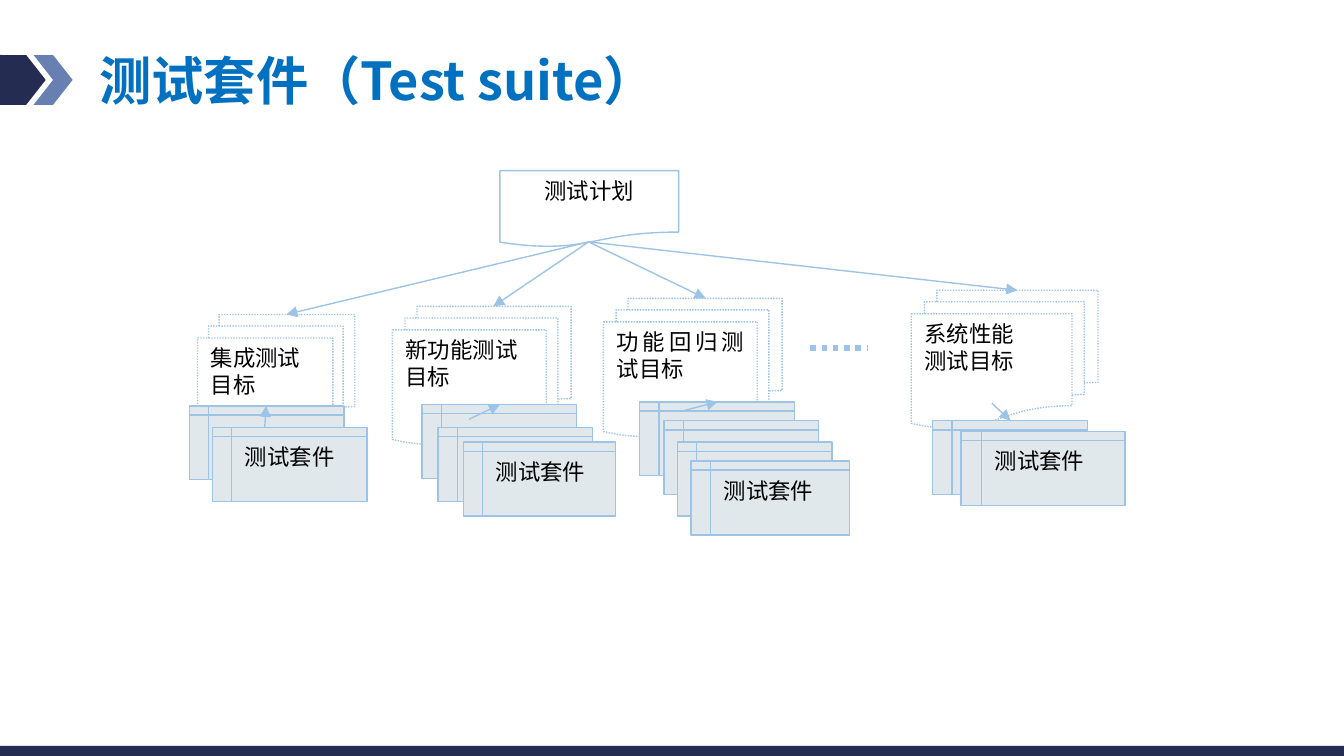
from lxml.etree import SubElement
from pptx import Presentation
from pptx.dml.color import RGBColor
from pptx.enum.dml import MSO_LINE
from pptx.enum.shapes import MSO_CONNECTOR, MSO_SHAPE
from pptx.enum.text import MSO_ANCHOR, PP_ALIGN
from pptx.oxml.ns import qn
from pptx.util import Inches, Pt

NAVY = RGBColor(0x24, 0x2C, 0x52)
SLATE = RGBColor(0x68, 0x80, 0xB1)
TITLE_BLUE = RGBColor(0x00, 0x70, 0xC0)
LINE_BLUE = RGBColor(0x9D, 0xC3, 0xE6)
PALE_GREY = RGBColor(0xE0, 0xE8, 0xEC)
WHITE = RGBColor(0xFF, 0xFF, 0xFF)
BLACK = RGBColor(0x00, 0x00, 0x00)
CJK_FONT = "Noto Sans CJK SC"
TITLE_FORMAT = {"name": CJK_FONT, "size": Pt(28), "bold": True}
LABEL_FORMAT = {"name": "Times New Roman", "size": Pt(12), "bold": False}

deck = Presentation()
deck.slide_width = Inches(10)
deck.slide_height = Inches(10) * 9 // 16
page = deck.slides.add_slide(deck.slide_layouts[5])


def add_box(kind, bounds, fill, outline=None, lines=(), align=PP_ALIGN.JUSTIFY):
    box = page.shapes.add_shape(kind, *map(Inches, bounds))
    box.shadow.inherit = False
    box.fill.solid()
    box.fill.fore_color.rgb = fill
    if outline is None:
        box.line.fill.background()
    else:
        box.line.color.rgb = outline
        box.line.width = Pt(0.75)
    frame = box.text_frame
    frame.vertical_anchor = MSO_ANCHOR.TOP
    for index, text in enumerate(lines):
        para = frame.add_paragraph() if index else frame.paragraphs[0]
        para.alignment = align
        span = para.add_run()
        span.text = text
        for name, value in LABEL_FORMAT.items():
            setattr(span.font, name, value)
        span.font.color.rgb = BLACK
    return box


def add_line(start, end, width=0.75, arrow=True):
    line = page.shapes.add_connector(MSO_CONNECTOR.STRAIGHT, *map(Inches, (*start, *end)))
    line.line.color.rgb = LINE_BLUE
    line.line.width = Pt(width)
    if arrow:
        SubElement(line.line._get_or_add_ln(), qn("a:tailEnd"), type="triangle")
    SubElement(line._element.spPr, qn("a:effectLst"))
    return line


marker = add_box(MSO_SHAPE.ROUNDED_RECTANGLE, (-0.15, 0.41, 0.35, 0.37), NAVY)
marker.adjustments[0] = 0.1
for left, color in ((0.25, SLATE), (0.05, NAVY)):
    add_box(MSO_SHAPE.CHEVRON, (left, 0.41, 0.29, 0.37), color)
add_box(MSO_SHAPE.RECTANGLE, (0, 5.55, 10, 0.13), NAVY)

title = page.shapes.title
title_place = {"left": 0.64, "top": 0.31, "width": 5.28, "height": 0.57}
for name, value in title_place.items():
    setattr(title, name, Inches(value))
title.text_frame.vertical_anchor = MSO_ANCHOR.BOTTOM
title.text_frame.word_wrap = True
para = title.text_frame.paragraphs[0]
para.alignment = PP_ALIGN.LEFT
para.line_spacing = 0.9
span = para.add_run()
span.text = "测试套件（Test suite）"
for name, value in TITLE_FORMAT.items():
    setattr(span.font, name, value)
span.font.color.rgb = TITLE_BLUE
SubElement(span.font._element, qn("a:ea"), typeface=CJK_FONT)

add_box(MSO_SHAPE.FLOWCHART_DOCUMENT, (3.72, 1.27, 1.33, 0.57), WHITE, LINE_BLUE,
        ["测试计划"], PP_ALIGN.CENTER)

goals = [
    (1.47, 2.34, 1.17, 2.13, ["集成测试", "目标"]),
    (2.92, 2.28, 1.33, 3.67, ["新功能测试", "目标"]),
    (6.78, 2.16, 1.39, 7.57, ["系统性能", "测试目标"]),
    (4.49, 2.22, 1.33, 5.25, ["功能回归测试目标"]),
]
for left, top, width, target, lines in goals:
    goal = add_box(MSO_SHAPE.FLOWCHART_MULTIDOCUMENT, (left, top, width, 1.03),
                   WHITE, LINE_BLUE, lines)
    goal.line.dash_style = MSO_LINE.ROUND_DOT
    add_line((4.38, 1.8), (target, top))

ellipsis = add_line((6.03, 2.59), (6.46, 2.59), width=3, arrow=False)
ellipsis.line.dash_style = MSO_LINE.ROUND_DOT

suite_stacks = [
    [(1.41, 3.02, 1.15), (1.58, 3.18, 1.15)],
    [(3.14, 3.01, 1.15), (3.26, 3.18, 1.15), (3.45, 3.29, 1.13)],
    [(4.76, 2.99, 1.15), (4.94, 3.13, 1.15), (5.04, 3.29, 1.15), (5.14, 3.43, 1.18)],
    [(6.94, 3.13, 1.15), (7.15, 3.21, 1.22)],
]
for stack in suite_stacks:
    for card in stack:
        lines = ["测试套件"] if card == stack[-1] else []
        add_box(MSO_SHAPE.FLOWCHART_INTERNAL_STORAGE, (*card, 0.55),
                PALE_GREY, LINE_BLUE, lines)

suite_arrows = [
    ((1.97, 3.18), (1.98, 3.02)),
    ((7.38, 3), (7.52, 3.13)),
    ((5.07, 3.06), (5.34, 2.99)),
    ((3.49, 3.12), (3.72, 3.01)),
]
for start, end in suite_arrows:
    add_line(start, end)

deck.save("out.pptx")
